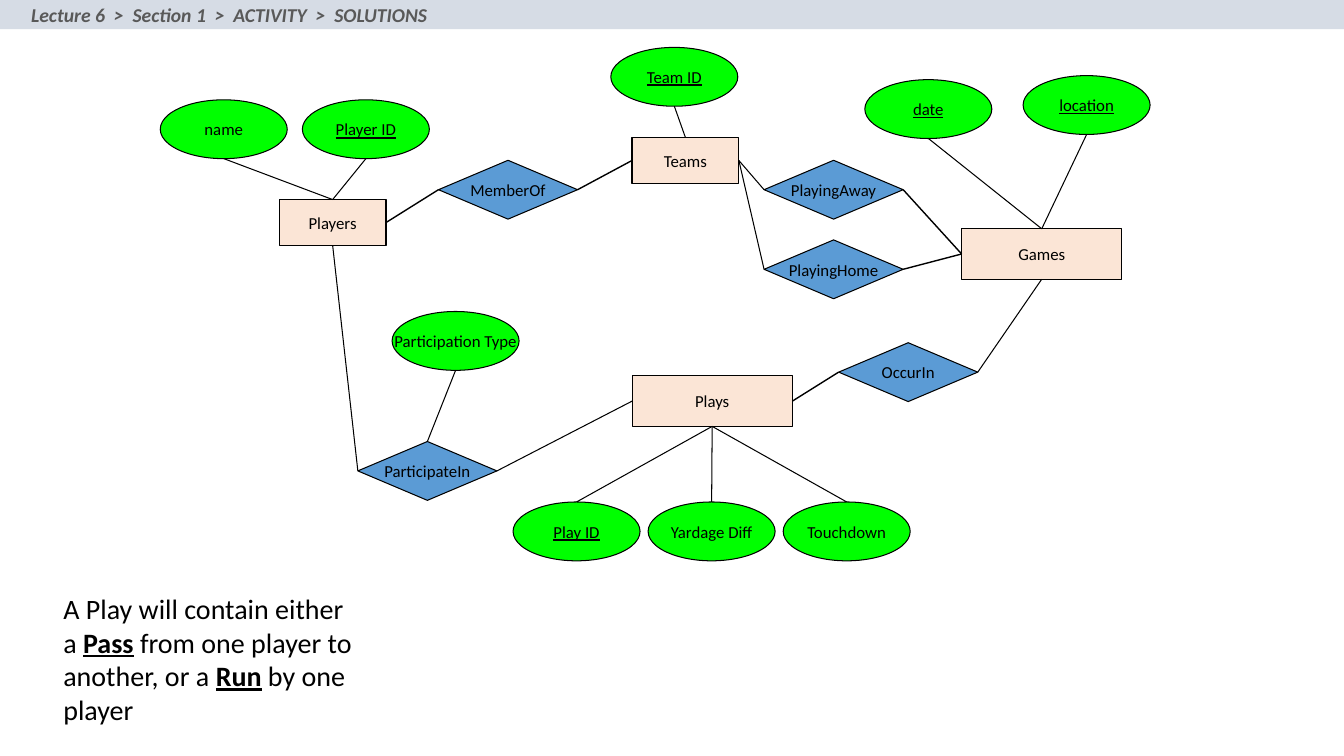
"""Build the entity-relationship diagram slide of the sports activity."""
from dataclasses import dataclass

from lxml import etree
from pptx import Presentation
from pptx.dml.color import RGBColor
from pptx.enum.shapes import MSO_CONNECTOR, MSO_SHAPE
from pptx.enum.text import MSO_ANCHOR, PP_ALIGN
from pptx.oxml.ns import qn
from pptx.util import Inches, Pt

RECT, DIAMOND, OVAL = MSO_SHAPE.RECTANGLE, MSO_SHAPE.DIAMOND, MSO_SHAPE.OVAL
STRAIGHT = MSO_CONNECTOR.STRAIGHT
TOP_ANCHOR, MIDDLE = MSO_ANCHOR.TOP, MSO_ANCHOR.MIDDLE
LEFT_ALIGN, CENTER = PP_ALIGN.LEFT, PP_ALIGN.CENTER
TOP, LEFT, BOTTOM, RIGHT = range(4)
COLUMNS, ROWS = 133.33, 75
SMALL_ENTITY, LARGE_ENTITY = (10.6, 4.55), (15.9, 5)
ATTRIBUTE, RELATION = (12.6, 5.84), (13.8, 5.84)
PLAY_STEP = 13.4


@dataclass(frozen=True)
class Theme:
    """Hold the colours, font and type sizes of the slide."""
    font: str = "Calibri"
    ink: str = "000000"
    crumb: str = "595959"
    band: str = "D6DCE5"
    entity: str = "FBE5D6"
    relation: str = "5B9BD5"
    attribute: str = "00FF00"
    label_size: float = 12
    crumb_size: float = 14
    note_size: float = 20
    thin: float = 0.75
    thick: float = 1


THEME = Theme()


def cells(*counts):
    """Turn counts of grid cells, a tenth of an inch each, into lengths."""
    return [Inches(n / 10) for n in counts]


def add_run(p, text, size, color=THEME.ink, **style):
    """Add one run with its font, size, colour and styles."""
    r = p.add_run()
    r.text = text
    r.font.name, r.font.size = THEME.font, Pt(size)
    r.font.color.rgb = RGBColor.from_string(color)
    for name, value in style.items():
        setattr(r.font, name, value)


def set_frame(sp, wrap, anchor, align):
    """Set up the text frame of a shape and return its first paragraph."""
    tf = sp.text_frame
    tf.word_wrap, tf.vertical_anchor = wrap, anchor
    tf.paragraphs[0].alignment = align
    return tf.paragraphs[0]


def add_box(shapes, kind, place, fill):
    """Add a flat filled shape without a line."""
    sp = shapes.add_shape(kind, *cells(*place))
    sp.shadow.inherit = False
    sp.fill.solid()
    sp.fill.fore_color.rgb = RGBColor.from_string(fill)
    sp.line.fill.background()
    return sp


def add_node(s, kind, text, corner, size, fill, key=False):
    """Add a labelled, outlined node; a key label is underlined."""
    sp = add_box(s.shapes, kind, (*corner, *size), fill)
    sp.line.color.rgb = RGBColor.from_string(THEME.ink)
    sp.line.width = Pt(THEME.thin)
    p = set_frame(sp, False, MIDDLE, CENTER)
    add_run(p, text, THEME.label_size, underline=key or None)
    return sp


def add_entity(s, text, x, y, size):
    """Add an entity rectangle."""
    return add_node(s, RECT, text, (x, y), size, THEME.entity)


def add_relation(s, text, x, y):
    """Add a relationship diamond."""
    return add_node(s, DIAMOND, text, (x, y), RELATION, THEME.relation)


def side_point(sp, side):
    """Return the middle of one side of a shape."""
    across = {LEFT: 0, RIGHT: 1}.get(side, 0.5)
    down = {TOP: 0, BOTTOM: 1}.get(side, 0.5)
    return int(sp.left + across * sp.width), int(sp.top + down * sp.height)


def add_link(s, start, start_side, end, end_side, width=THEME.thin):
    """Draw a line between two sides, joined where the sites match."""
    line = s.shapes.add_connector(
        STRAIGHT, *side_point(start, start_side), *side_point(end, end_side))
    ends = ((start, start_side, line.begin_connect),
            (end, end_side, line.end_connect))
    for sp, side, join in ends:
        if sp.auto_shape_type != OVAL or side == TOP:
            join(sp, side)
    line.line.color.rgb = RGBColor.from_string(THEME.ink)
    line.line.width = Pt(width)
    etree.SubElement(line._element.spPr, qn("a:effectLst"))


def add_attribute(s, text, x, y, owner, key=False, below=False):
    """Add an attribute ellipse above or below its owner and link them."""
    sp = add_node(s, OVAL, text, (x, y), ATTRIBUTE, THEME.attribute, key)
    sides = (TOP, BOTTOM) if below else (BOTTOM, TOP)
    add_link(s, sp, sides[0], owner, sides[1])


def add_header(s):
    """Add the band with the breadcrumb."""
    group = s.shapes.add_group_shape()
    add_box(group.shapes, RECT, (0, 0, COLUMNS, 2.9), THEME.band)
    sp = group.shapes.add_textbox(*cells(2.1, 0, 41.6, 2.9))
    sp.text_frame.margin_top = sp.text_frame.margin_bottom = 0
    p = set_frame(sp, False, MIDDLE, LEFT_ALIGN)
    crumbs = ("Lecture 6", "Section 1", "ACTIVITY", "SOLUTIONS")
    add_run(p, "  >  ".join(crumbs), THEME.crumb_size, THEME.crumb,
            bold=True, italic=True)


def add_note(s):
    """Add the remark about plays with its two marked terms."""
    sp = s.shapes.add_textbox(*cells(5.3, 58.2, 31.6, 14.5))
    p = set_frame(sp, True, TOP_ANCHOR, LEFT_ALIGN)
    parts = (("A Play will contain either a ", False), ("Pass", True),
             (" from one player to another, or a ", False), ("Run", True),
             (" by one player", False))
    for text, marked in parts:
        add_run(p, text, THEME.note_size, bold=marked, underline=marked)


def add_diagram(s):
    """Add entities, relationships, attributes and their links."""
    players = add_entity(s, "Players", 27.7, 19.8, SMALL_ENTITY)
    teams = add_entity(s, "Teams", 62.7, 13.65, SMALL_ENTITY)
    games = add_entity(s, "Games", 95.4, 22.7, LARGE_ENTITY)
    plays = add_entity(s, "Plays", 62.7, 37.3, LARGE_ENTITY)

    member = add_relation(s, "MemberOf", 43.5, 15.9)
    away = add_relation(s, "PlayingAway", 75.8, 15.9)
    home = add_relation(s, "PlayingHome", 75.8, 23.8)
    occur = add_relation(s, "OccurIn", 83.2, 34)
    participate = add_relation(s, "ParticipateIn", 35.5, 43.8)

    for text, x, y, owner, key in (
            ("name", 15.9, 9.9, players, False),
            ("Player ID", 30, 9.9, players, True),
            ("Team ID", 60.6, 4.7, teams, True),
            ("date", 85.8, 7.9, games, True),
            ("location", 101.5, 7.5, games, True),
            ("Participation Type", 38.9, 30.9, participate, False)):
        add_attribute(s, text, x, y, owner, key)
    for i, text in enumerate(("Play ID", "Yardage Diff", "Touchdown")):
        add_attribute(s, text, 50.9 + i * PLAY_STEP, 49.8, plays,
                      key=i == 0, below=True)

    for start, start_side, end, end_side, width in (
            (players, RIGHT, member, LEFT, THEME.thick),
            (member, RIGHT, teams, LEFT, THEME.thick),
            (teams, RIGHT, away, LEFT, THEME.thin),
            (teams, RIGHT, home, LEFT, THEME.thin),
            (away, RIGHT, games, LEFT, THEME.thick),
            (home, RIGHT, games, LEFT, THEME.thick),
            (games, BOTTOM, occur, RIGHT, THEME.thin),
            (occur, LEFT, plays, RIGHT, THEME.thick),
            (players, BOTTOM, participate, LEFT, THEME.thin),
            (participate, RIGHT, plays, LEFT, THEME.thin)):
        add_link(s, start, start_side, end, end_side, width)


def main():
    """Build the slide and save it."""
    prs = Presentation()
    prs.slide_width, prs.slide_height = cells(COLUMNS, ROWS)
    s = prs.slides.add_slide(prs.slide_layouts[6])
    add_header(s)
    add_diagram(s)
    add_note(s)
    prs.save("out.pptx")


if __name__ == "__main__":
    main()
